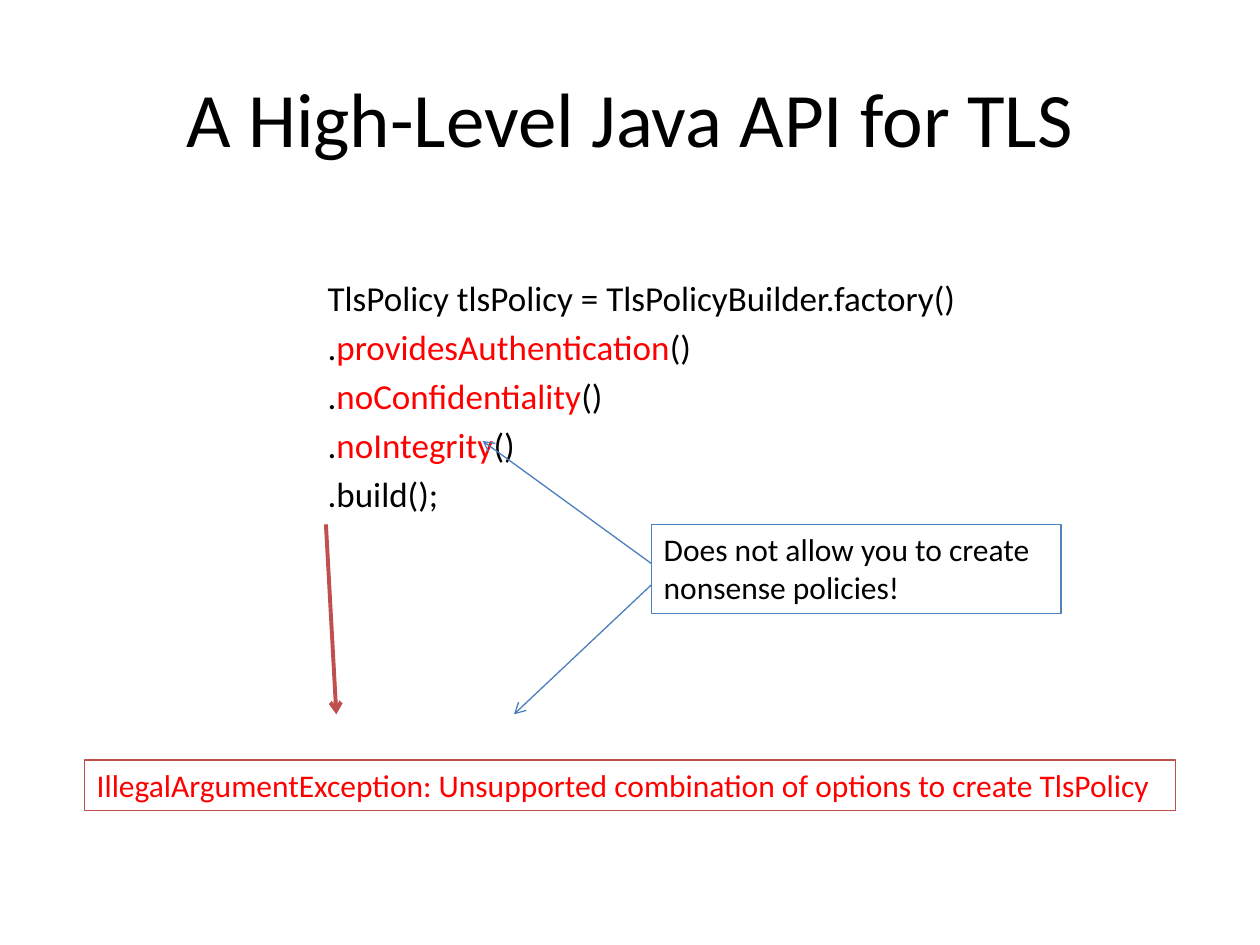
import pptx
import pptx.dml.color
import pptx.enum.shapes
import pptx.enum.text
import pptx.oxml
import pptx.oxml.ns
import pptx.util
from pptx.util import Cm, Pt

COLORS = {"text": "000000", "alert": "FF0000", "blue": "4F81BD",
          "arrow": "4B7EBC", "red": "C0504D"}
CODE = [
    [("TlsPolicy tlsPolicy = TlsPolicyBuilder.factory()", "text")],
    [(".", "text"), ("providesAuthentication", "alert"), ("()", "text")],
    [(".", "text"), ("noConfidentiality", "alert"), ("()", "text")],
    [(".", "text"), ("noIntegrity", "alert"), ("()", "text")],
    [(".build();", "text")],
]


def rgb(name):
    """Return the named colour."""
    return pptx.dml.color.RGBColor.from_string(COLORS[name])


def add_element(parent, tag, **attributes):
    """Append a DrawingML element to a parent and return it."""
    element = pptx.oxml.parse_xml(f"<a:{tag} {pptx.oxml.ns.nsdecls('a')}/>")
    for name, value in attributes.items():
        element.set(name, value)
    parent.append(element)
    return element


def place(item, box):
    """Move an item to a box of left, top, width and height."""
    item.left, item.top, item.width, item.height = (Cm(value) for value in box)


def add_span(para, text, size, color):
    """Add one formatted run to a paragraph."""
    span = para.add_run()
    span.text = text
    span.font.name = "Calibri"
    span.font.size = Pt(size)
    span.font.color.rgb = rgb(color)


def add_title(page, box, text):
    """Fill the title placeholder."""
    title = page.shapes.title
    place(title, box)
    title.text_frame.vertical_anchor = pptx.enum.text.MSO_ANCHOR.MIDDLE
    para = title.text_frame.paragraphs[0]
    para.alignment = pptx.enum.text.PP_ALIGN.CENTER
    add_span(para, text, 44, "text")


def add_code(page, box, lines):
    """Fill the body placeholder with indented code lines."""
    body = page.placeholders[1]
    place(body, box)
    frame = body.text_frame
    frame.margin_top = Cm(1.13)
    for number, line in enumerate(lines):
        para = frame.add_paragraph() if number else frame.paragraphs[0]
        para.space_before = Pt(4 if number else 0)
        properties = para._p.get_or_add_pPr()
        properties.set("marL", str(Cm(5.08)))
        properties.set("indent", "0")
        add_element(properties, "buNone")
        for text, color in line:
            add_span(para, text, 20, color)


def add_arrow(page, start, end, color, width):
    """Draw a straight arrow between two points."""
    points = [Cm(value) for value in (*start, *end)]
    arrow = page.shapes.add_connector(pptx.enum.shapes.MSO_CONNECTOR.STRAIGHT, *points)
    arrow.line.color.rgb = rgb(color)
    arrow.line.width = Pt(width)
    add_element(arrow.line._get_or_add_ln(), "tailEnd", type="arrow")
    add_element(arrow._element.spPr, "effectLst")


def add_note(page, box, text, outline, color):
    """Add an outlined rectangle with left-aligned text."""
    note = page.shapes.add_shape(pptx.enum.shapes.MSO_SHAPE.RECTANGLE,
                                 *(Cm(value) for value in box))
    note.shadow.inherit = False
    note.fill.background()
    note.line.color.rgb = rgb(outline)
    note.line.width = Pt(0.75)
    frame = note.text_frame
    frame.word_wrap = True
    frame.vertical_anchor = pptx.enum.text.MSO_ANCHOR.TOP
    para = frame.paragraphs[0]
    para.alignment = pptx.enum.text.PP_ALIGN.LEFT
    add_span(para, text, 18, color)


def add_callout(page, box, text):
    """Add the remark with arrows to the code and to the exception."""
    left, top = box[:2]
    add_arrow(page, (left, top + 0.79), (left - 3.4, top - 1.68), "arrow", 0.75)
    add_note(page, box, text, "blue", "text")
    add_arrow(page, (left, top + 1.22), (left - 2.77, top + 3.83), "arrow", 0.75)


def add_exception(page, box, text):
    """Add the error message and the arrow leading down to it."""
    left, top = box[:2]
    add_note(page, box, text, "red", "alert")
    add_arrow(page, (left + 4.87, top - 4.75), (left + 5.08, top - 0.92), "red", 2.25)


def main():
    """Build and save the slide."""
    deck = pptx.Presentation()
    deck.slide_width, deck.slide_height = Cm(25.4), Cm(19.05)
    page = deck.slides.add_slide(deck.slide_layouts[1])
    add_title(page, (1.27, 0.76, 22.86, 3.18), "A High-Level Java API for TLS")
    add_code(page, (1.27, 4.45, 22.86, 12.57), CODE)
    add_callout(page, (13.13, 10.57, 8.26, 1.8),
                "Does not allow you to create nonsense policies!")
    add_exception(page, (1.7, 15.32, 22, 1.02),
                  "IllegalArgumentException: Unsupported combination of options to create TlsPolicy")
    deck.save("out.pptx")


if __name__ == "__main__":
    main()
